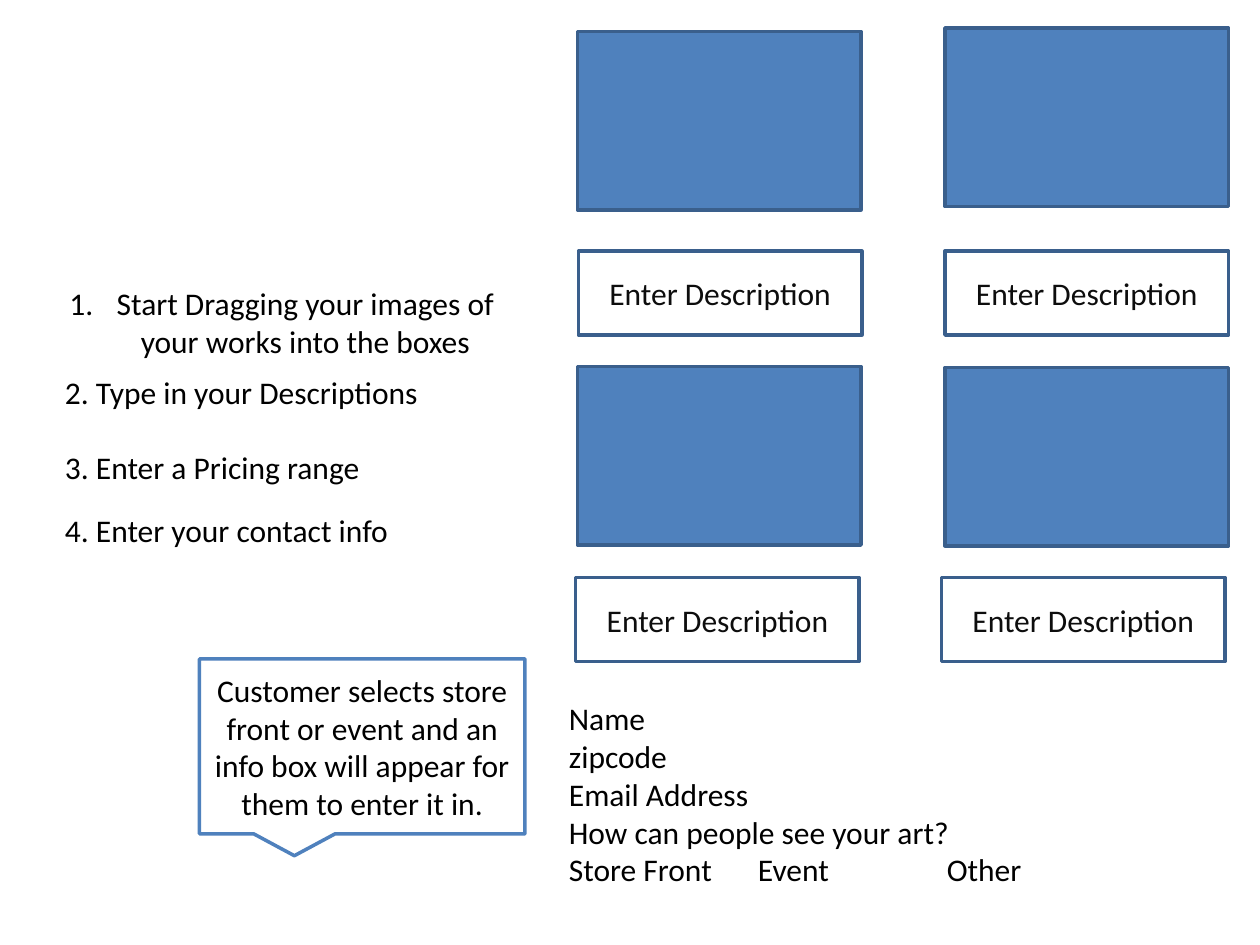
from dataclasses import dataclass

from lxml import etree
from pptx import Presentation
from pptx.dml.color import RGBColor
from pptx.enum.shapes import MSO_SHAPE as Shape
from pptx.enum.text import MSO_ANCHOR as Anchor, MSO_AUTO_SIZE as AutoSize, PP_ALIGN as Align
from pptx.oxml.ns import qn
from pptx.util import Pt


@dataclass(frozen=True)
class Theme:
    font: str = "Calibri"
    size: int = 18
    line_width: int = 2
    blue: str = "4F81BD"
    dark_blue: str = "3A5F8C"
    white: str = "FFFFFF"
    text: str = "000000"
    caption: str = "0D0D0D"


class SlideBuilder:
    def __init__(self, slide, theme):
        self.slide = slide
        self.theme = theme

    def set_text(self, shape, text, color, alignment):
        frame = shape.text_frame
        frame.word_wrap = True
        frame.text = text
        for paragraph in frame.paragraphs:
            paragraph.alignment = alignment
            for run in paragraph.runs:
                run.font.name = self.theme.font
                run.font.size = Pt(self.theme.size)
                run.font.color.rgb = RGBColor.from_string(color)

    def box(self, kind, bounds, fill, line):
        shape = self.slide.shapes.add_shape(kind, *map(Pt, bounds))
        shape.shadow.inherit = False
        shape.fill.solid()
        shape.fill.fore_color.rgb = RGBColor.from_string(fill)
        shape.line.color.rgb = RGBColor.from_string(line)
        shape.line.width = Pt(self.theme.line_width)
        return shape

    def image_box(self, bounds):
        return self.box(Shape.RECTANGLE, bounds, self.theme.blue, self.theme.dark_blue)

    def caption(self, bounds, text):
        shape = self.box(Shape.RECTANGLE, bounds, self.theme.white, self.theme.dark_blue)
        self.set_text(shape, text, self.theme.caption, Align.CENTER)
        shape.text_frame.vertical_anchor = Anchor.MIDDLE

    def callout(self, bounds, text):
        shape = self.box(Shape.RECTANGULAR_CALLOUT, bounds, self.theme.white, self.theme.blue)
        self.set_text(shape, text, self.theme.text, Align.CENTER)
        shape.text_frame.vertical_anchor = Anchor.MIDDLE

    def text(self, bounds, text, alignment=Align.LEFT):
        shape = self.slide.shapes.add_textbox(*map(Pt, bounds))
        self.set_text(shape, text, self.theme.text, alignment)
        shape.text_frame.auto_size = AutoSize.SHAPE_TO_FIT_TEXT
        return shape

    def numbered_text(self, bounds, text):
        shape = self.text(bounds, text, Align.CENTER)
        properties = shape.text_frame.paragraphs[0]._p.get_or_add_pPr()
        indent = Pt(27)
        properties.set("marL", str(indent))
        properties.set("indent", str(-indent))
        etree.SubElement(properties, qn("a:buAutoNum"), type="arabicPeriod")


def main():
    presentation = Presentation()
    presentation.slide_width, presentation.slide_height = Pt(720), Pt(540)
    slide = presentation.slides.add_slide(presentation.slide_layouts[6])
    builder = SlideBuilder(slide, Theme())

    # Image boxes
    for left, top in ((330, 209.5), (540, 210), (330, 18), (540, 16)):
        builder.image_box((left, top, 162, 102))

    # Descriptions below the image boxes
    for left, top in ((330.5, 143.5), (329, 330), (538, 330), (540, 143.5)):
        builder.caption((left, top, 162, 48), "Enter Description")

    # Instructions
    builder.numbered_text((28, 159, 266, 51),
                          "Start Dragging your images of your works into the boxes")
    for top, step in (
        (209.5, "2. Type in your Descriptions"),
        (252.5, "3. Enter a Pricing range"),
        (288.5, "4. Enter your contact info"),
    ):
        builder.text((30, top, 234, 29), step)

    # Contact form
    builder.text((318, 396, 384, 117), "\n".join((
        "Name",
        "zipcode",
        "Email Address",
        "How can people see your art?",
        "Store Front \tEvent\t\tOther",
    )))

    # Note on the store front and event choice
    builder.callout((114, 376.5, 186, 100),
                    "Customer selects store front or event and an info box "
                    "will appear for them to enter it in.")

    presentation.save("out.pptx")


if __name__ == "__main__":
    main()
